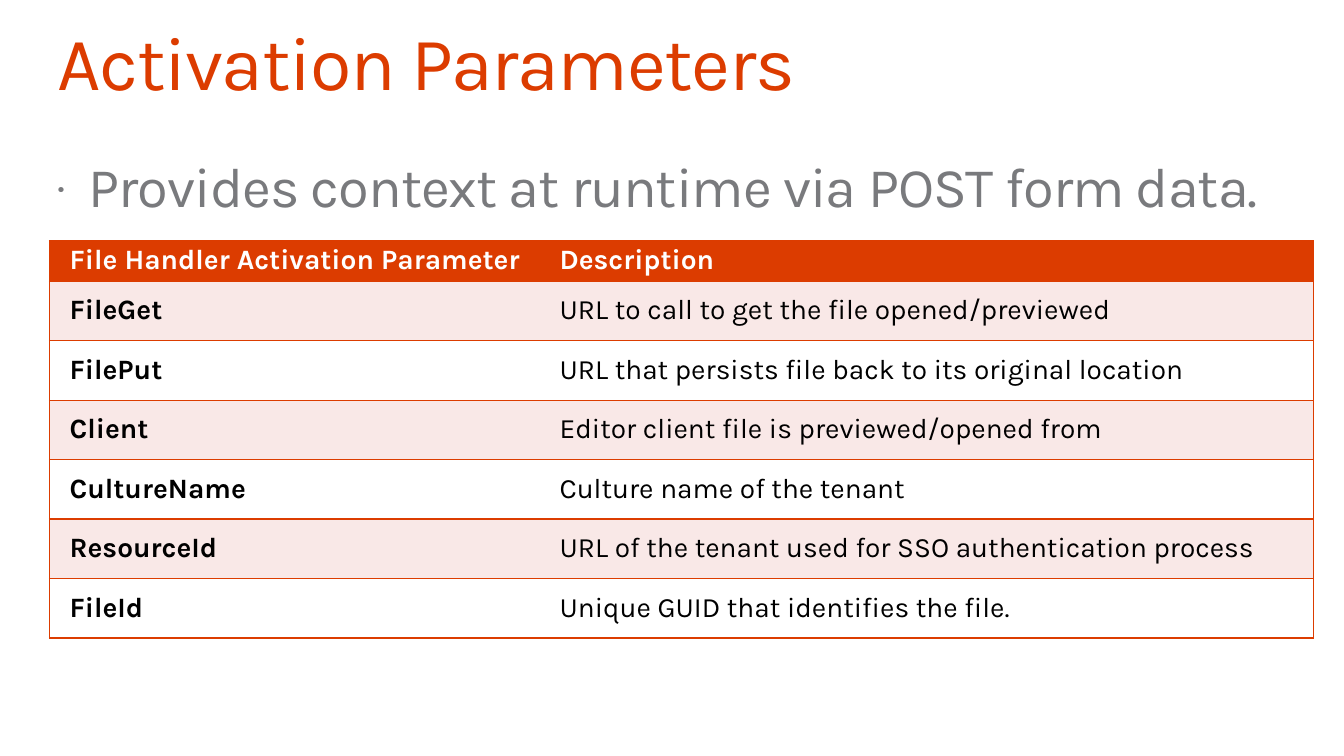
from typing import NamedTuple

from lxml import etree
from pptx import Presentation
from pptx.dml.color import RGBColor
from pptx.enum.text import MSO_ANCHOR, MSO_AUTO_SIZE, PP_ALIGN
from pptx.oxml.ns import qn
from pptx.util import Inches, Pt

LEFT, TOP, MIDDLE = PP_ALIGN.LEFT, MSO_ANCHOR.TOP, MSO_ANCHOR.MIDDLE
NO_AUTOFIT = MSO_AUTO_SIZE.NONE
FONT = "Karla"
COLORS = {
    "accent": "DC3C00",
    "body": "797A7D",
    "band": "F9E8E7",
    "white": "FFFFFF",
    "black": "000000",
}
COLUMN_WIDTHS = (4.86, 7.68)
HEADER_HEIGHT, ROW_HEIGHT = 0.4, 0.59


class Parameter(NamedTuple):
    name: str
    description: str


class TextStyle(NamedTuple):
    size: float
    color: str
    bold: bool = False
    spacing: int = 0  # hundredths of a point


HEADER = Parameter("File Handler Activation Parameter", "Description")
PARAMETERS = (
    Parameter("FileGet", "URL to call to get the file opened/previewed"),
    Parameter("FilePut", "URL that persists file back to its original location"),
    Parameter("Client", "Editor client file is previewed/opened from"),
    Parameter("CultureName", "Culture name of the tenant"),
    Parameter("ResourceId", "URL of the tenant used for SSO authentication process"),
    Parameter("FileId", "Unique GUID that identifies the file."),
)


def write_text(paragraph, text: str, style: TextStyle) -> None:
    paragraph.alignment = LEFT
    paragraph.line_spacing = 0.9
    paragraph.space_before = Pt(0)
    run = paragraph.add_run()
    run.text = text
    run.font.name = FONT
    run.font.size = Pt(style.size)
    run.font.bold = style.bold
    run.font.color.rgb = RGBColor.from_string(COLORS[style.color])
    if style.spacing:
        run.font._element.set("spc", str(style.spacing))


def fill_placeholder(shape, top: float, height: float, text: str, style: TextStyle):
    shape.left, shape.top = Inches(0.57), Inches(top)
    shape.width, shape.height = Inches(12.19), Inches(height)
    frame = shape.text_frame
    frame.margin_left = frame.margin_top = frame.margin_right = frame.margin_bottom = 0
    frame.word_wrap = True
    frame.auto_size = NO_AUTOFIT
    frame.vertical_anchor = TOP
    paragraph = frame.paragraphs[0]
    write_text(paragraph, text, style)
    return paragraph


def add_bullet(paragraph) -> None:
    properties = paragraph._p.get_or_add_pPr()
    properties.set("marL", str(Inches(0.31)))
    properties.set("indent", str(-Inches(0.31)))
    etree.SubElement(properties, qn("a:buSzPct")).set("val", "80000")
    etree.SubElement(properties, qn("a:buFont")).set("typeface", FONT)
    etree.SubElement(properties, qn("a:buChar")).set("char", "·")


def set_borders(cell, hidden_side: str) -> None:
    """Outline the cell, except on the side facing the other column."""
    properties = cell._tc.get_or_add_tcPr()
    for side in ("lnL", "lnR", "lnT", "lnB"):
        line = etree.SubElement(properties, qn(f"a:{side}"))
        line.set("w", str(Pt(1)))
        if side == hidden_side:
            etree.SubElement(line, qn("a:noFill"))
        else:
            fill = etree.SubElement(line, qn("a:solidFill"))
            etree.SubElement(fill, qn("a:srgbClr")).set("val", COLORS["accent"])


def add_parameter_table(slide) -> None:
    rows = (HEADER, *PARAMETERS)
    table_height = HEADER_HEIGHT + ROW_HEIGHT * len(PARAMETERS)
    table = slide.shapes.add_table(
        len(rows), len(COLUMN_WIDTHS), Inches(0.49), Inches(2.39),
        Inches(sum(COLUMN_WIDTHS)), Inches(table_height),
    ).table
    table.first_row = table.horz_banding = False
    for column, width in zip(table.columns, COLUMN_WIDTHS):
        column.width = Inches(width)
    for row_index, parameter in enumerate(rows):
        is_header = row_index == 0
        table.rows[row_index].height = Inches(HEADER_HEIGHT if is_header else ROW_HEIGHT)
        fill = "accent" if is_header else "band" if row_index % 2 else "white"
        for column_index, text in enumerate(parameter):
            cell = table.cell(row_index, column_index)
            set_borders(cell, "lnL" if column_index else "lnR")
            cell.fill.solid()
            cell.fill.fore_color.rgb = RGBColor.from_string(COLORS[fill])
            cell.vertical_anchor = MIDDLE
            cell.margin_left = Inches(0.2)
            cell.margin_right = Inches(0.03 if is_header else 0.1)
            cell.margin_top = cell.margin_bottom = Inches(0 if is_header else 0.1)
            style = TextStyle(
                20, "white" if is_header else "black", is_header or column_index == 0
            )
            write_text(cell.text_frame.paragraphs[0], text, style)


def main() -> None:
    presentation = Presentation()
    presentation.slide_width, presentation.slide_height = Inches(13.33), Inches(7.5)
    slide = presentation.slides.add_slide(presentation.slide_layouts[1])
    fill_placeholder(
        slide.shapes.title, 0.25, 0.82, "Activation Parameters",
        TextStyle(54, "accent", spacing=-100),
    )
    summary = fill_placeholder(
        slide.placeholders[1], 1.58, 2.23,
        "Provides context at runtime via POST form data.",
        TextStyle(40, "body", spacing=-70),
    )
    add_bullet(summary)
    add_parameter_table(slide)
    presentation.save("out.pptx")


if __name__ == "__main__":
    main()
